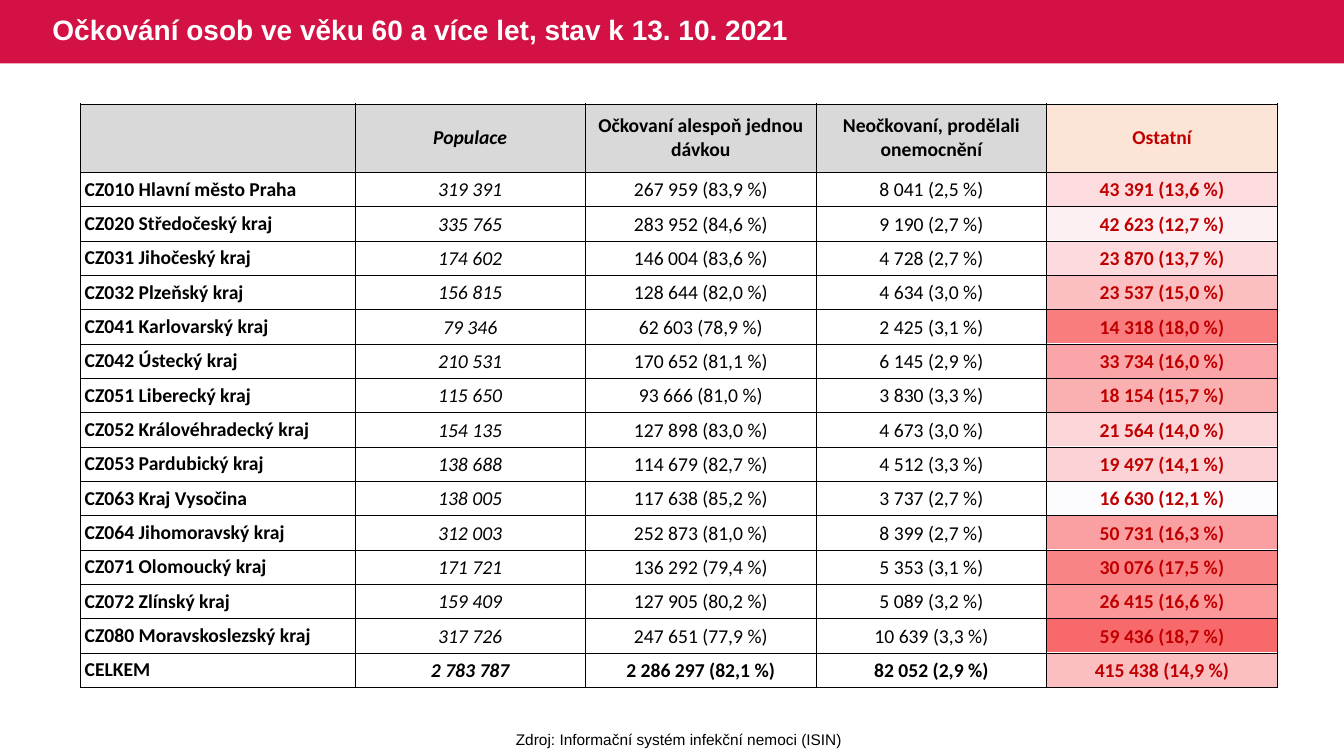
from lxml.etree import SubElement
from pptx import Presentation
from pptx.dml.color import RGBColor
from pptx.enum.shapes import MSO_SHAPE
from pptx.enum.text import MSO_ANCHOR, MSO_AUTO_SIZE, PP_ALIGN
from pptx.oxml.ns import qn
from pptx.util import Inches, Pt

TITLE = "Očkování osob ve věku 60 a více let, stav k 13. 10. 2021"
SOURCE = "Zdroj: Informační systém infekční nemoci (ISIN)"
HEADINGS = ("", "Populace", "Očkovaní alespoň jednou dávkou",
            "Neočkovaní, prodělali onemocnění", "Ostatní")
REGIONS = [
    ("CZ010 Hlavní město Praha", "319 391", "267 959 (83,9 %)", "8 041 (2,5 %)", "43 391 (13,6 %)"),
    ("CZ020 Středočeský kraj", "335 765", "283 952 (84,6 %)", "9 190 (2,7 %)", "42 623 (12,7 %)"),
    ("CZ031 Jihočeský kraj", "174 602", "146 004 (83,6 %)", "4 728 (2,7 %)", "23 870 (13,7 %)"),
    ("CZ032 Plzeňský kraj", "156 815", "128 644 (82,0 %)", "4 634 (3,0 %)", "23 537 (15,0 %)"),
    ("CZ041 Karlovarský kraj", "79 346", "62 603 (78,9 %)", "2 425 (3,1 %)", "14 318 (18,0 %)"),
    ("CZ042 Ústecký kraj", "210 531", "170 652 (81,1 %)", "6 145 (2,9 %)", "33 734 (16,0 %)"),
    ("CZ051 Liberecký kraj", "115 650", "93 666 (81,0 %)", "3 830 (3,3 %)", "18 154 (15,7 %)"),
    ("CZ052 Královéhradecký kraj", "154 135", "127 898 (83,0 %)", "4 673 (3,0 %)", "21 564 (14,0 %)"),
    ("CZ053 Pardubický kraj", "138 688", "114 679 (82,7 %)", "4 512 (3,3 %)", "19 497 (14,1 %)"),
    ("CZ063 Kraj Vysočina", "138 005", "117 638 (85,2 %)", "3 737 (2,7 %)", "16 630 (12,1 %)"),
    ("CZ064 Jihomoravský kraj", "312 003", "252 873 (81,0 %)", "8 399 (2,7 %)", "50 731 (16,3 %)"),
    ("CZ071 Olomoucký kraj", "171 721", "136 292 (79,4 %)", "5 353 (3,1 %)", "30 076 (17,5 %)"),
    ("CZ072 Zlínský kraj", "159 409", "127 905 (80,2 %)", "5 089 (3,2 %)", "26 415 (16,6 %)"),
    ("CZ080 Moravskoslezský kraj", "317 726", "247 651 (77,9 %)", "10 639 (3,3 %)", "59 436 (18,7 %)"),
    ("CELKEM", "2 783 787", "2 286 297 (82,1 %)", "82 052 (2,9 %)", "415 438 (14,9 %)"),
]
HEAT = ("FCDCDF", "FCF0F3", "FCDADD", "FBBEC1", "F97D7F", "FAA6A9", "FAAFB1", "FBD5D7",
        "FBD2D5", "FCFCFF", "FAA0A2", "F98486", "FA989A", "F8696B", "FBBEC1")

CRIMSON = RGBColor(0xD3, 0x11, 0x45)
WHITE = RGBColor(0xFF, 0xFF, 0xFF)
BLACK = RGBColor(0, 0, 0)
DARK_RED = RGBColor(0xC0, 0, 0)
GREY = RGBColor(0xD9, 0xD9, 0xD9)
PEACH = RGBColor(0xFC, 0xE4, 0xD6)

OTHERS = len(HEADINGS) - 1
TOTAL = len(REGIONS)
TABLE_LEFT, TABLE_TOP = 0.8, 1.03
TABLE_WIDTH, TABLE_HEIGHT = 11.87, 5.79
REGION_WIDTH, HEADING_HEIGHT = 2.72, 0.68
COUNT_WIDTH = (TABLE_WIDTH - REGION_WIDTH) / OTHERS
ROW_HEIGHT = (TABLE_HEIGHT - HEADING_HEIGHT) / TOTAL


def apply(target, formats):
    for key, value in formats.items():
        setattr(target, key, value)


def write(frame, text, align, font, color):
    frame.text = text
    paragraph = frame.paragraphs[0]
    paragraph.alignment = align
    apply(paragraph.font, font)
    paragraph.font.color.rgb = color
    return paragraph


def paint(fill, color):
    fill.solid()
    fill.fore_color.rgb = color


def outline(cell):
    properties = cell._tc.get_or_add_tcPr()
    for side in ("a:lnL", "a:lnR", "a:lnT", "a:lnB"):
        line = SubElement(properties, qn(side), w=str(Pt(0.5)))
        SubElement(SubElement(line, qn("a:solidFill")), qn("a:srgbClr"), val=str(BLACK))


def add_grid(left, top, widths, heights):
    grid = slide.shapes.add_table(len(heights), len(widths), Inches(left), Inches(top),
                                  Inches(sum(widths)), Inches(sum(heights)))
    apply(grid.table, {"first_row": False, "horz_banding": False})
    for column, width in zip(grid.table.columns, widths):
        column.width = Inches(width)
    for row, height in zip(grid.table.rows, heights):
        row.height = Inches(height)
    return grid


presentation = Presentation()
apply(presentation, {"slide_width": Inches(13.33), "slide_height": Inches(7.5)})
slide = presentation.slides.add_slide(presentation.slide_layouts[5])

title = slide.shapes.title
apply(title, {"left": Inches(0.42), "top": 0, "width": Inches(8.28), "height": Inches(0.63)})
title.text_frame.vertical_anchor = MSO_ANCHOR.MIDDLE
heading = write(title.text_frame, TITLE, PP_ALIGN.LEFT,
                {"name": "Arial", "size": Pt(20), "bold": True}, WHITE)
heading.line_spacing = 0.9

banner = slide.shapes.add_shape(MSO_SHAPE.RECTANGLE, 0, 0, presentation.slide_width, Inches(0.63))
banner.shadow.inherit = False
paint(banner.fill, CRIMSON)
banner.line.fill.background()
title.element.addprevious(banner.element)

heat_scale = add_grid(TABLE_LEFT + TABLE_WIDTH - COUNT_WIDTH, TABLE_TOP + HEADING_HEIGHT,
                      [COUNT_WIDTH], [ROW_HEIGHT] * TOTAL)
for shade, cell in zip(HEAT, heat_scale.table.iter_cells()):
    apply(cell, {"margin_top": 0, "margin_bottom": 0})
    paint(cell.fill, RGBColor.from_string(shade))
title.element.addprevious(heat_scale.element)

vaccination = add_grid(TABLE_LEFT, TABLE_TOP, [REGION_WIDTH] + [COUNT_WIDTH] * OTHERS,
                       [HEADING_HEIGHT] + [ROW_HEIGHT] * TOTAL).table
for r, values in enumerate([HEADINGS] + REGIONS):
    for c, value in enumerate(values):
        cell = vaccination.cell(r, c)
        labelled = r == 0 or c == 0
        side = Inches(0.04 if labelled else 0.01)
        apply(cell, {"margin_left": side, "margin_right": side,
                     "margin_top": Inches(0 if labelled else 0.01), "margin_bottom": 0,
                     "vertical_anchor": MSO_ANCHOR.MIDDLE})
        outline(cell)
        if r == 0:
            paint(cell.fill, PEACH if c == OTHERS else GREY)
        else:
            cell.fill.background()
        write(cell.text_frame, value, PP_ALIGN.CENTER if c else PP_ALIGN.LEFT,
              {"name": "Calibri", "size": Pt(14), "italic": c == 1,
               "bold": r in (0, TOTAL) or c in (0, OTHERS)},
              DARK_RED if c == OTHERS else BLACK)

source = slide.shapes.add_textbox(Inches(5.01), Inches(7.19), Inches(3.45), Inches(0.29))
apply(source.text_frame, {"word_wrap": False, "auto_size": MSO_AUTO_SIZE.SHAPE_TO_FIT_TEXT})
write(source.text_frame, SOURCE, PP_ALIGN.CENTER, {"name": "Arial", "size": Pt(11)}, BLACK)

presentation.save("out.pptx")
